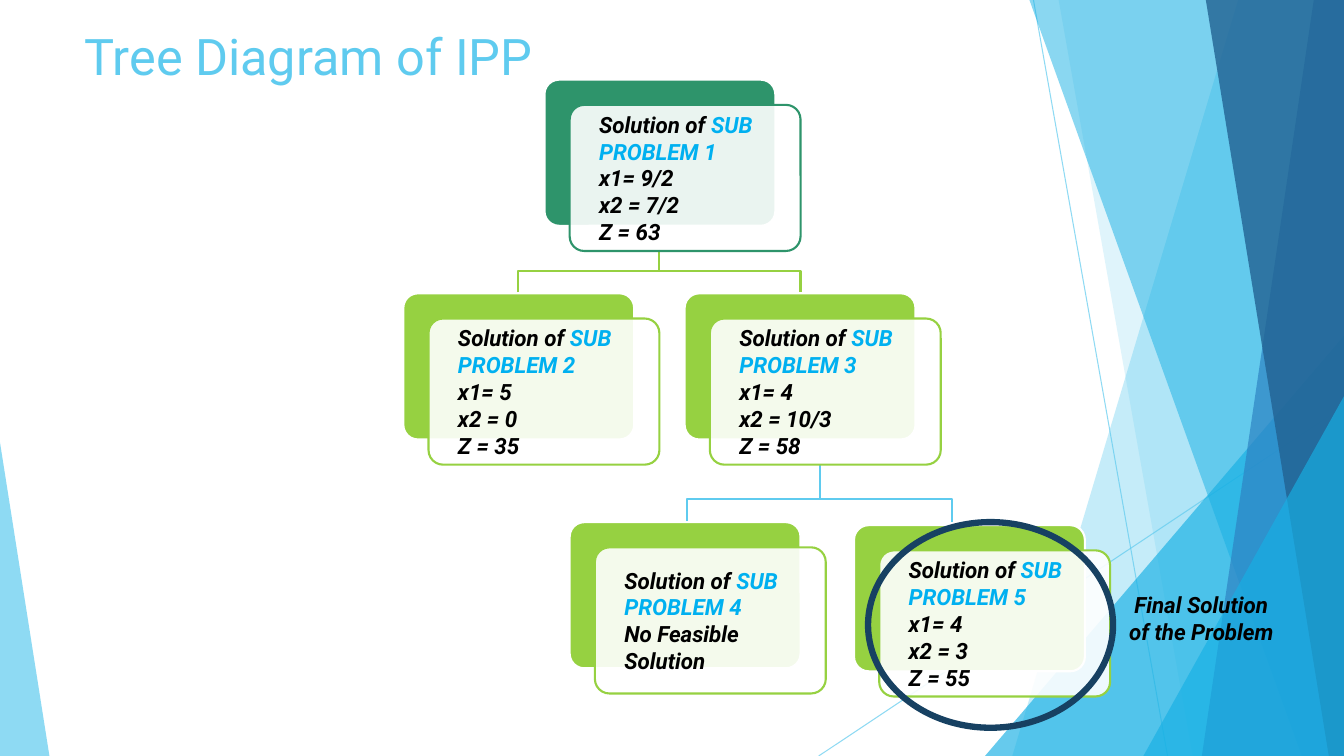
from lxml import etree
from pptx import Presentation, util as u
from pptx.dml.color import RGBColor
from pptx.enum import shapes, text
from pptx.oxml import ns

# Content
W, H = 13.33, 7.5
FONT = "Roboto"
TITLE = "Tree Diagram of IPP"
VERDICT = "Final Solution of the Problem"
COLOURS = {
    "sky": "5FCBEF", "azure": "17B0E4", "blue": "2E83C3", "navy": "226292",
    "green": "2E946B", "lime": "96D141", "label": "00B0F0",
    "ring": "174162", "white": "FFFFFF", "black": "000000",
}
# left, top, accent colour, label, result lines
PROBLEMS = [
    (5.4, 0.79, "green", "SUB PROBLEM 1", ["x1= 9/2", "x2 = 7/2", "Z = 63"]),
    (4.0, 2.91, "lime", "SUB PROBLEM 2", ["x1= 5", "x2 = 0", "Z = 35"]),
    (6.79, 2.91, "lime", "SUB PROBLEM 3", ["x1= 4", "x2 = 10/3", "Z = 58"]),
    (5.65, 5.18, "lime", "SUB PROBLEM 4", ["No Feasible Solution"]),
    (8.47, 5.21, "lime", "SUB PROBLEM 5", ["x1= 4", "x2 = 3", "Z = 55"]),
]
# stem x, left and right foot x, stem top, bar and foot y, colour
BRANCHES = [
    (6.54, 5.14, 7.94, 2.48, 2.69, 2.9, "lime"),
    (8.13, 6.81, 9.44, 4.6, 4.95, 5.18, "sky"),
]
CARD_W, CARD_H, STEP = 2.29, 1.45, 0.25

# Backdrop: rays, bands (top left, bottom left), corners (left, top, width, apex)
RAYS = [((10.25, 0), (11.58, H)), ((W, 4.03), (8.12, H))]
BACKDROP = [
    ("band", (12.28, 10.04), "sky", 36),
    ("band", (10.5, 11.83), "sky", 20),
    ("corner", (9.77, 3.33, 3.56, 1), "azure", 66),
    ("band", (10.21, 12.91), "azure", 50),
    ("band", (13.03, 11.92), "blue", 70),
    ("band", (11.96, 13.18), "navy", 80),
    ("corner", (11.34, 3.93, 1.99, 1), "azure", 66),
    ("corner", (0, 4.39, 0.49, 0), "sky", 70),
]

prs = Presentation()
prs.slide_width, prs.slide_height = u.Inches(W), u.Inches(H)
slide = prs.slides.add_slide(prs.slide_layouts[6])
canvas = slide.shapes


def rgb(name):
    return RGBColor.from_string(COLOURS[name])


def inches(*lengths):
    return [u.Inches(length) for length in lengths]


def set_alpha(part, percent):
    colour = part._xPr.find(".//" + ns.qn("a:srgbClr"))
    etree.SubElement(colour, ns.qn("a:alpha"), val=str(percent * 1000))


def paint(shape, fill=None, alpha=100, line=None, width=1.5):
    shape.shadow.inherit = False
    if fill:
        shape.fill.solid()
        shape.fill.fore_color.rgb = rgb(fill)
        if alpha < 100:
            set_alpha(shape.fill, alpha)
    else:
        shape.fill.background()
    if line:
        shape.line.color.rgb = rgb(line)
        shape.line.width = u.Pt(width)
    else:
        shape.line.fill.background()
    return shape


def outline(*contours, close):
    builder = canvas.build_freeform(*inches(*contours[0][0]))
    for index, (start, *rest) in enumerate(contours):
        if index:
            builder.move_to(*inches(*start))
        builder.add_line_segments([inches(*p) for p in rest], close=close)
    return builder.convert_to_shape()


def preset(kind, left, top, width, height, adjust=None):
    shape = canvas.add_shape(kind, *inches(left, top, width, height))
    if adjust is not None:
        shape.adjustments[0] = adjust
    return shape


def add_run(paragraph, words, colour, size=16, strong=True):
    run = paragraph.add_run()
    run.text = words
    run.font.name, run.font.size = FONT, u.Pt(size)
    run.font.bold = run.font.italic = strong
    run.font.color.rgb = rgb(colour)


def text_area(left, top, width, height):
    frame = canvas.add_textbox(*inches(left, top, width, height)).text_frame
    frame.word_wrap = True
    return frame


def add_ray(start, end):
    ray = canvas.add_connector(shapes.MSO_CONNECTOR.STRAIGHT, *inches(*start, *end))
    ray.line.color.rgb = rgb("sky")
    ray.line.width = u.Pt(0.75)
    set_alpha(ray.line.fill, 70)
    etree.SubElement(ray._element.spPr, ns.qn("a:effectLst"))


def add_card(left, top, accent, label, results):
    kind = shapes.MSO_SHAPE.ROUNDED_RECTANGLE
    paint(preset(kind, left, top, CARD_W, CARD_H, 0.1), accent, line="white")
    card = preset(kind, left + STEP, top + STEP, CARD_W, CARD_H, 0.1)
    paint(card, "white", 90, accent)
    frame = card.text_frame
    frame.word_wrap = True
    frame.vertical_anchor = text.MSO_ANCHOR.MIDDLE
    frame.margin_left = frame.margin_right = u.Inches(0.25)
    frame.margin_top = frame.margin_bottom = 0
    heading = frame.paragraphs[0]
    add_run(heading, "Solution of ", "black")
    add_run(heading, label, "label")
    for result in results:
        add_run(frame.add_paragraph(), result, "black")
    for paragraph in frame.paragraphs:
        paragraph.alignment = text.PP_ALIGN.LEFT


# Backdrop
for ray in RAYS:
    add_ray(*ray)
for kind, place, colour, alpha in BACKDROP:
    if kind == "band":
        top_left, bottom_left = place
        part = outline([(top_left, 0), (W, 0), (W, H), (bottom_left, H)], close=True)
    else:
        left, top, width, apex = place
        part = preset(shapes.MSO_SHAPE.ISOSCELES_TRIANGLE, left, top, width, H - top, apex)
    paint(part, colour, alpha)

# Title
title = text_area(0.74, 0.15, 9.4, 0.8)
title.vertical_anchor = text.MSO_ANCHOR.MIDDLE
add_run(title.paragraphs[0], TITLE, "sky", 36, False)

# Tree
for stem, left, right, top, bar, foot, colour in BRANCHES:
    fork = [(left, foot), (left, bar), (right, bar), (right, foot)]
    paint(outline(fork, [(stem, top), (stem, bar)], close=False), line=colour)
for problem in PROBLEMS:
    add_card(*problem)

# Final solution
verdict = text_area(11.05, 5.82, 1.73, 0.74)
verdict.paragraphs[0].alignment = text.PP_ALIGN.CENTER
add_run(verdict.paragraphs[0], VERDICT, "black")
paint(preset(shapes.MSO_SHAPE.OVAL, 8.61, 5.18, 2.43, 2.04), line="ring", width=4.5)

prs.save("out.pptx")
